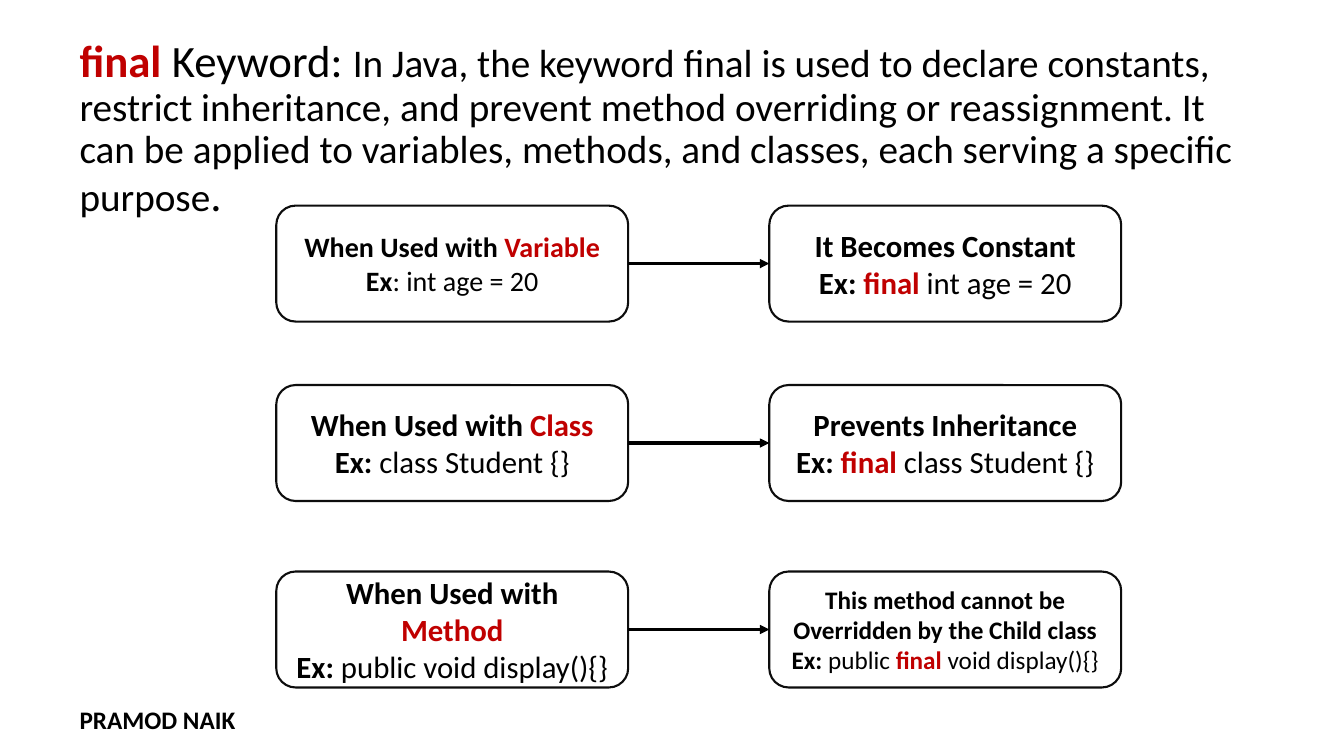
import pptx
import pptx.util
import pptx.dml.color
import pptx.enum.shapes
import pptx.enum.text
import lxml.etree
from dataclasses import dataclass

EMU_PER_PX = 9144  # 100 px to the inch


@dataclass(frozen=True)
class Theme:
    font: str = "Calibri"
    black: str = "000000"
    red: str = "C00000"
    white: str = "FFFFFF"
    outline: str = "0D0D0D"
    heading: int = 32
    body: int = 28
    large: int = 22
    medium: int = 20
    small: int = 18
    outline_width: float = 1.5
    arrow_width: float = 2.25


def px(length):
    return pptx.util.Emu(length * EMU_PER_PX)


def rgb(value):
    return pptx.dml.color.RGBColor.from_string(value)


class SlideBuilder:
    def __init__(self, theme, page):
        self.theme = theme
        self.page = page

    def add_spans(self, para, size, spans):
        """Each span is (text, style letters: b bold, r red, optional size)."""
        para.font.name = self.theme.font
        para.font.size = pptx.util.Pt(size)
        for text, style, *own_size in spans:
            span = para.add_run()
            span.text = text
            span.font.bold = "b" in style
            span.font.color.rgb = rgb(self.theme.red if "r" in style else self.theme.black)
            if own_size:
                span.font.size = pptx.util.Pt(own_size[0])

    def text(self, left, top, width, height, size, spans):
        box = self.page.shapes.add_textbox(px(left), px(top), px(width), px(height))
        box.text_frame.word_wrap = True
        para = box.text_frame.paragraphs[0]
        self.add_spans(para, size, spans)
        return para

    def card(self, left, top, width, height, size, lines):
        box = self.page.shapes.add_shape(
            pptx.enum.shapes.MSO_SHAPE.ROUNDED_RECTANGLE,
            px(left), px(top), px(width), px(height))
        box.shadow.inherit = False
        box.fill.solid()
        box.fill.fore_color.rgb = rgb(self.theme.white)
        box.line.color.rgb = rgb(self.theme.outline)
        box.line.width = pptx.util.Pt(self.theme.outline_width)
        frame = box.text_frame
        frame.word_wrap = True
        frame.vertical_anchor = pptx.enum.text.MSO_ANCHOR.MIDDLE
        for index, spans in enumerate(lines):
            para = frame.add_paragraph() if index else frame.paragraphs[0]
            para.alignment = pptx.enum.text.PP_ALIGN.CENTER
            self.add_spans(para, size, spans)
        return box

    def arrow(self, source, target):
        middle = source.top + source.height // 2
        line = self.page.shapes.add_connector(
            pptx.enum.shapes.MSO_CONNECTOR.STRAIGHT,
            source.left + source.width, middle, target.left, middle)
        line.begin_connect(source, 3)
        line.end_connect(target, 1)
        line.line.color.rgb = rgb(self.theme.black)
        line.line.width = pptx.util.Pt(self.theme.arrow_width)
        namespace = "{http://schemas.openxmlformats.org/drawingml/2006/main}"
        properties = line.element.spPr
        lxml.etree.SubElement(properties.find(namespace + "ln"),
                              namespace + "tailEnd", type="triangle")
        lxml.etree.SubElement(properties, namespace + "effectLst")


def main():
    theme = Theme()
    deck = pptx.Presentation()
    deck.slide_width, deck.slide_height = px(1333), px(750)
    page = deck.slides.add_slide(deck.slide_layouts[6])
    builder = SlideBuilder(theme, page)

    # Footer
    builder.text(69, 694, 245, 32, theme.small, [("PRAMOD NAIK", "b")])

    # Definition
    definition = builder.text(69, 34, 1181, 618, theme.body, [
        ("final", "br", theme.heading),
        (" Keyword: ", "", theme.heading),
        ("In Java, the keyword final is used to declare constants, restrict "
         "inheritance, and prevent method overriding or reassignment. It can be "
         "applied to variables, methods, and classes, each serving a specific purpose", ""),
        (".", "", theme.heading)])
    definition.line_spacing = 0.9
    definition.space_before = pptx.util.Pt(10)

    # Uses of the keyword: top, target, example, left size, effect, effect example, right size
    example = ("Ex: ", "b")
    final = ("final ", "br")
    uses = [
        (204, "Variable", [("Ex", "b"), (": int age = 20", "")], theme.medium,
         "It Becomes Constant", [example, final, ("int age = 20", "")], theme.large),
        (382, "Class", [example, ("class Student {}", "")], theme.large,
         "Prevents Inheritance", [example, final, ("class Student {}", "")], theme.large),
        (567, "Method", [example, ("public void display(){}", "")], theme.large,
         "This method cannot be Overridden by the Child class",
         [example, ("public ", ""), final, ("void display(){}", "")], theme.small),
    ]
    card_width, card_height = 349, 115
    for top, target, before, before_size, effect, after, after_size in uses:
        use = builder.card(274, top, card_width, card_height, before_size,
                           [[("When Used with ", "b"), (target, "br")], before])
        result = builder.card(763, top, card_width, card_height, after_size,
                              [[(effect, "b")], after])
        builder.arrow(use, result)

    deck.save("out.pptx")


if __name__ == "__main__":
    main()
